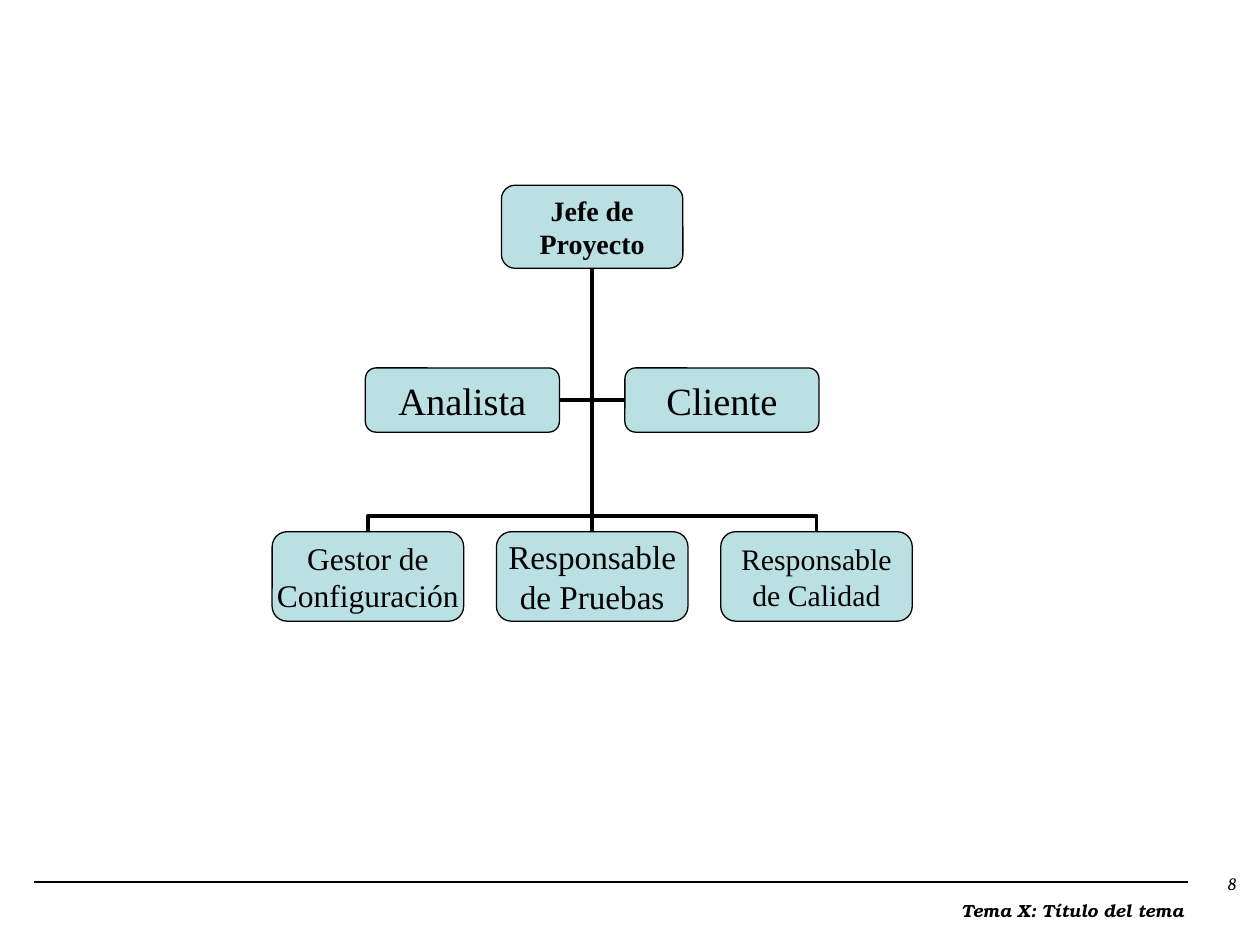
from lxml import etree
from pptx import Presentation
from pptx.dml.color import RGBColor
from pptx.enum.shapes import MSO_CONNECTOR, MSO_SHAPE
from pptx.enum.text import MSO_ANCHOR, PP_ALIGN
from pptx.oxml.ns import qn
from pptx.util import Inches, Pt

STRAIGHT, ELBOW = MSO_CONNECTOR.STRAIGHT, MSO_CONNECTOR.ELBOW
ROUNDED = MSO_SHAPE.ROUNDED_RECTANGLE
CENTER, RIGHT = PP_ALIGN.CENTER, PP_ALIGN.RIGHT
MIDDLE = MSO_ANCHOR.MIDDLE
BOTTOM_SITE, LEFT_SITE, RIGHT_SITE, TOP_SITE = 2, 1, 3, 0


def rgb(value):
    return RGBColor.from_string(value)


class Chart:
    ink = "000000"
    fill = "BBE0E3"
    font = "Times New Roman"

    def __init__(self, slide):
        self.shapes = slide.shapes

    def add_text(self, tf, text, align, **fmt):
        tf.word_wrap = True
        p = tf.paragraphs[0]
        p.alignment = align
        r = p.add_run()
        r.text = text
        r.font.color.rgb = rgb(self.ink)
        for name, value in fmt.items():
            setattr(r.font, name, value)

    def label(self, text, x, y, w, h, **fmt):
        sp = self.shapes.add_textbox(*map(Inches, (x, y, w, h)))
        self.add_text(sp.text_frame, text, RIGHT, size=Pt(10), italic=True, **fmt)

    def box(self, text, cx, y, w, h, size, bold=False):
        sp = self.shapes.add_shape(ROUNDED, *map(Inches, (cx - w / 2, y, w, h)))
        sp.shadow.inherit = False
        sp.fill.solid()
        sp.fill.fore_color.rgb = rgb(self.fill)
        sp.line.color.rgb = rgb(self.ink)
        sp.line.width = Pt(0.75)
        tf = sp.text_frame
        tf.vertical_anchor = MIDDLE
        for side in ("left", "top", "right", "bottom"):
            setattr(tf, f"margin_{side}", 0)
        self.add_text(tf, text, CENTER, size=Pt(size), bold=bold, name=self.font)
        return sp

    def line(self, x1, y1, x2, y2, width, kind=STRAIGHT):
        c = self.shapes.add_connector(kind, *map(Inches, (x1, y1, x2, y2)))
        c.line.color.rgb = rgb(self.ink)
        c.line.width = Pt(width)
        etree.SubElement(c._element.spPr, qn("a:effectLst"))
        return c

    def join(self, child, site, parent, kind=STRAIGHT):
        c = self.line(0, 0, 1, 1, 2.25, kind)
        c.begin_connect(child, site)
        c.end_connect(parent, BOTTOM_SITE)
        return c

    def elbow(self, child, site, parent, preset, rot, flips="", bend=None):
        c = self.join(child, site, parent, ELBOW)
        cx, cy = (c.begin_x + c.end_x) // 2, (c.begin_y + c.end_y) // 2
        w, h = c.width, c.height
        if rot in (90, 270):
            w, h = h, w
        c.left, c.top, c.width, c.height = cx - w // 2, cy - h // 2, w, h
        xfrm = c._element.spPr.find(qn("a:xfrm"))
        xfrm.set("rot", str(rot * 60000))
        for axis in "HV":
            xfrm.set(f"flip{axis}", str(int(axis in flips)))
        geom = c._element.spPr.find(qn("a:prstGeom"))
        geom.set("prst", preset)
        if bend is not None:
            guides = geom.find(qn("a:avLst"))
            if guides is None:
                guides = etree.SubElement(geom, qn("a:avLst"))
            etree.SubElement(guides, qn("a:gd"), name="adj1",
                             fmla=f"val {round(bend * 100000)}")


def main():
    prs = Presentation()
    prs.slide_width, prs.slide_height = Inches(10), Inches(7.5)
    chart = Chart(prs.slides.add_slide(prs.slide_layouts[6]))

    chart.line(0.27, 7, 9.43, 7, 1)
    chart.label("8", 9.45, 6.88, 0.46, 0.24, name="Cambria")
    chart.label("Tema X: Título del tema", 4.87, 7.09, 4.62, 0.28,
                name="TeX Gyre Bonum", bold=True)

    axis, step, side = 4.7, 1.78, 1.03
    lead = chart.box("Jefe de Proyecto", axis, 1.47, 1.44, 0.66, 16, True)
    analyst, client = [
        chart.box(text, axis + sign * side, 2.92, 1.54, 0.51, 22)
        for text, sign in (("Analista", -1), ("Cliente", 1))]
    team = (("Gestor de Configuración", 18), ("Responsable de Pruebas", 19),
            ("Responsable de Calidad", 17))
    config, testing, quality = [
        chart.box(text, axis + (i - 1) * step, 4.22, 1.52, 0.71, size)
        for i, (text, size) in enumerate(team)]

    chart.elbow(client, LEFT_SITE, lead, "bentConnector2", 180)
    chart.elbow(analyst, RIGHT_SITE, lead, "bentConnector2", 0, "V")
    chart.elbow(quality, TOP_SITE, lead, "bentConnector3", 270, "V", 0.06)
    chart.join(testing, TOP_SITE, lead)
    chart.elbow(config, TOP_SITE, lead, "bentConnector3", 90, "HV", 0.06)

    prs.save("out.pptx")


if __name__ == "__main__":
    main()
